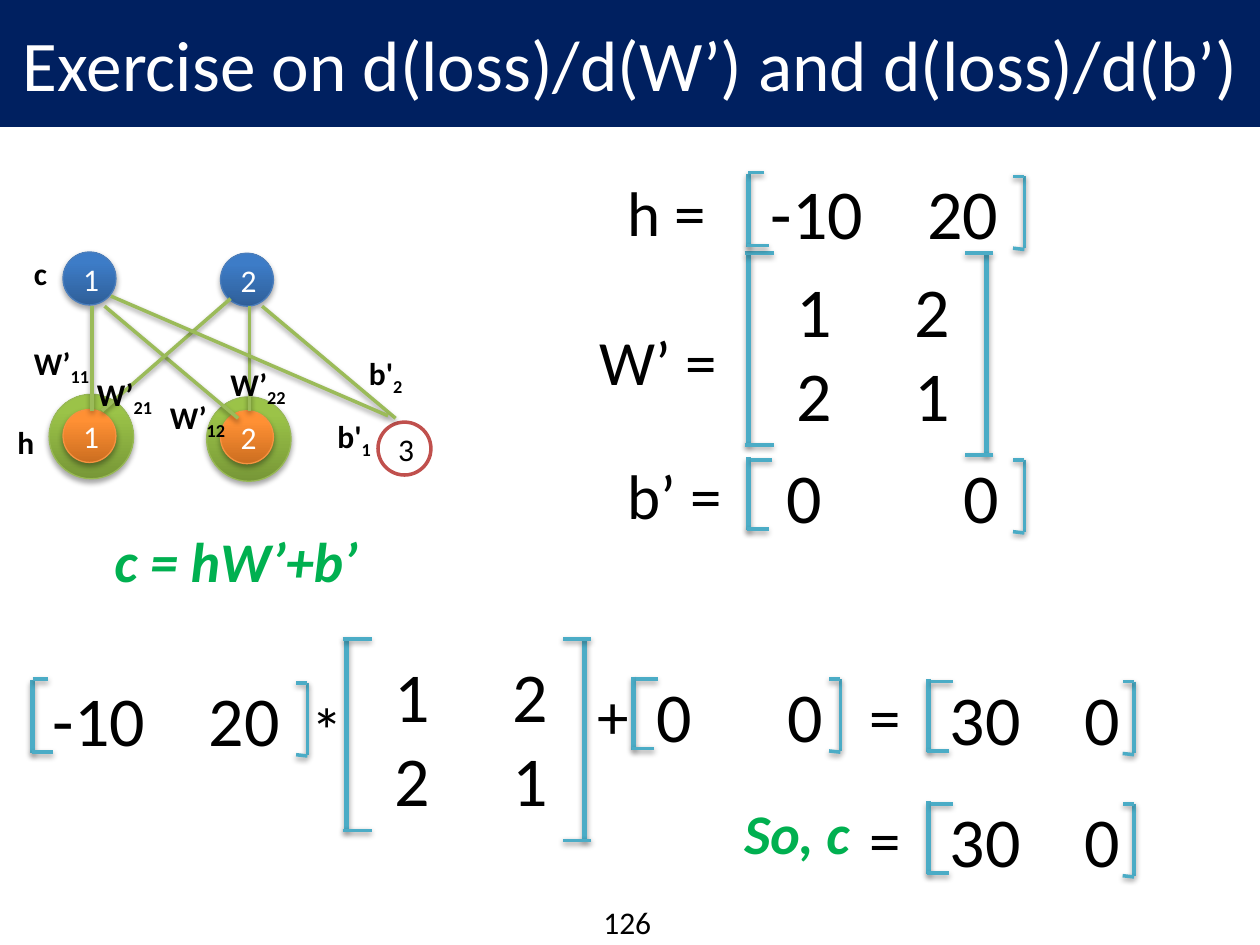
import pptx
import pptx.util
import pptx.dml.color
import pptx.enum.shapes
import pptx.enum.text
import pptx.oxml.ns
from lxml import etree

Inches = pptx.util.Inches
Pt = pptx.util.Pt
qn = pptx.oxml.ns.qn
SHAPE = pptx.enum.shapes.MSO_SHAPE
GREEN, BLUE, ORANGE = ("779737", "9BC348", "98B955"), ("2F5F99", "3D7CC7", "4B7EBC"), ("CC6E20", "FF9034", "F69240")
EDGE, BRACKET, FORMULA = "9BBB59", "4BACC6", "00B050"


def rgb(value):
    return pptx.dml.color.RGBColor.from_string(value)


def set_font(font, color="000000", **fmt):
    font.color.rgb = rgb(color)
    for name, value in {"name": "Calibri", **fmt}.items():
        setattr(font, name, value)


def add_shadow(sp, alpha, dist):
    spPr = sp._element.spPr
    effects = spPr.find(qn("a:effectLst"))
    if effects is None:
        effects = etree.SubElement(spPr, qn("a:effectLst"))
    outer = etree.SubElement(effects, qn("a:outerShdw"), blurRad="40000", dist=str(dist),
                             dir="5400000", rotWithShape="0")
    color = etree.SubElement(outer, qn("a:srgbClr"), val="000000")
    etree.SubElement(color, qn("a:alpha"), val=str(alpha * 1000))


def add_line(s, x1, y1, x2, y2, color, width=2):
    sp = s.shapes.add_connector(pptx.enum.shapes.MSO_CONNECTOR.STRAIGHT,
                                Inches(x1), Inches(y1), Inches(x2), Inches(y2))
    sp.line.color.rgb = rgb(color)
    sp.line.width = Pt(width)
    if width == 3:
        add_shadow(sp, 35, 23000)
    else:
        add_shadow(sp, 38, 20000)


def add_shape(s, kind, x, y, w, h, line, width, text="", size=18, color="FFFFFF"):
    sp = s.shapes.add_shape(kind, Inches(x), Inches(y), Inches(w), Inches(h))
    sp.shadow.inherit = False
    sp.line.color.rgb = rgb(line)
    sp.line.width = Pt(width)
    if text:
        tf = sp.text_frame
        tf.vertical_anchor = pptx.enum.text.MSO_ANCHOR.MIDDLE
        p = tf.paragraphs[0]
        p.alignment = pptx.enum.text.PP_ALIGN.CENTER
        r = p.add_run()
        r.text = text
        set_font(r.font, color, size=Pt(size))
    return sp


def add_node(s, x, y, d, colors, text=""):
    dark, light, line = colors
    sp = add_shape(s, SHAPE.OVAL, x, y, d, d, line, 0.75, text)
    sp.fill.gradient()
    sp.fill.gradient_angle = 90
    for stop, color, position in zip(sp.fill.gradient_stops, (dark, light), (0, 0.8)):
        stop.color.rgb = rgb(color)
        stop.position = position
    add_shadow(sp, 35, 23000)


def add_text(s, x, y, w, h, text, size, sub="", wrap=False, **fmt):
    tf = s.shapes.add_textbox(Inches(x), Inches(y), Inches(w), Inches(h)).text_frame
    tf.word_wrap = wrap
    if not wrap:
        tf.auto_size = pptx.enum.text.MSO_AUTO_SIZE.SHAPE_TO_FIT_TEXT
    p = tf.paragraphs[0]
    for part in filter(None, (text, sub)):
        r = p.add_run()
        r.text = part
        set_font(r.font, size=Pt(size), **fmt)
    if sub:
        r.font._element.set("baseline", "-25000")
    return tf


def add_vector(s, x, top, right, text_x, first, second, gap, tick=(0.02, 0.19, 0.02)):
    tick_start, tick_end, tick_drop = tick
    add_line(s, x, top, x, top + 0.58, BRACKET, 3)
    add_line(s, x + tick_start, top + tick_drop, x + tick_end, top + tick_drop, BRACKET)
    add_line(s, x - 0.01, top + 0.57, x + 0.16, top + 0.57, BRACKET)
    add_line(s, right, top + 0.02, right, top + 0.59, BRACKET)
    add_line(s, right, top + 0.6, right - 0.09, top + 0.59, BRACKET)
    add_line(s, right, top + 0.02, right - 0.09, top + 0.02, BRACKET)
    tf = add_text(s, text_x, top - 0.08, 2.03, 0.77, f"{first}\t{second}", 40, wrap=True)
    tabs = etree.SubElement(tf.paragraphs[0]._p.get_or_add_pPr(), qn("a:tabLst"))
    etree.SubElement(tabs, qn("a:tab"), pos=str(Inches(gap)), algn="l")


def add_matrix(s, x, y):
    for stem, start, end, height in ((0.03, 0, 0.23, 1.52), (1.92, 1.75, 1.97, 1.6)):
        add_line(s, x + stem, y, x + stem, y + height, BRACKET, 3)
        for tick_y in (y, y + height):
            add_line(s, x + start, tick_y, x + end, tick_y, BRACKET)
    tf = s.shapes.add_textbox(Inches(x + 0.31), Inches(y + 0.06), Inches(1.43), Inches(1.45)).text_frame
    tf.word_wrap = True
    for i, value in enumerate("21"):
        p = tf.add_paragraph() if i else tf.paragraphs[0]
        pPr = p._p.get_or_add_pPr()
        pPr.set("marL", str(Inches(0.94)))
        pPr.set("indent", str(-Inches(0.94)))
        etree.SubElement(pPr, qn("a:buFont"), typeface="+mj-lt")
        etree.SubElement(pPr, qn("a:buAutoNum"), type="arabicPlain")
        r = p.add_run()
        r.text = value
        set_font(r.font, size=Pt(40))


def add_network(s):
    for x, y in ((1.64, 3.15), (0.39, 3.13)):
        add_node(s, x, y, 0.67, GREEN)
    for x, y, text in ((0.5, 2, "1"), (1.75, 2.01, "2")):
        add_node(s, x, y, 0.42, BLUE, text)
        add_node(s, x, y + 1.25, 0.42, ORANGE, text)
    bias = add_shape(s, SHAPE.OVAL, 3, 3.35, 0.42, 0.42, "C0504D", 2, "3", color="000000")
    bias.fill.solid()
    bias.fill.fore_color.rgb = rgb("FFFFFF")
    for ends in ((0.73, 2.43, 0.73, 3.26), (1.98, 2.43, 1.98, 3.26), (2.08, 2.43, 3.14, 3.32),
                 (0.83, 2.43, 1.89, 3.32), (1.83, 2.37, 0.81, 3.26), (0.88, 2.35, 3.08, 3.3)):
        add_line(s, *ends, EDGE)
    for x, y, w, text, sub in (
            (0.17, 2.68, 0.67, "W’", "11"), (0.67, 2.93, 0.67, "W’", "21"),
            (1.25, 3.11, 0.67, "W’", "12"), (1.73, 2.85, 0.67, "W’", "22"),
            (2.58, 3.26, 0.48, "b'", "1"), (2.83, 2.76, 0.48, "b'", "2"),
            (0.04, 3.31, 0.34, "h", ""), (0.17, 1.97, 0.31, "c", "")):
        add_text(s, x, y, w, 0.4, text, 18, sub, bold=True)


def main():
    prs = pptx.Presentation()
    prs.slide_width, prs.slide_height = Inches(10), Inches(7.5)
    s = prs.slides.add_slide(prs.slide_layouts[6])
    title = add_shape(s, SHAPE.RECTANGLE, 0, 0, 10, 1, "002060", 0.75,
                      "Exercise on d(loss)/d(W’) and d(loss)/d(b’)", 40.7)
    title.fill.solid()
    title.fill.fore_color.rgb = rgb("002060")
    add_network(s)

    for x, y in ((5.91, 2.01), (2.72, 5.07)):
        add_matrix(s, x, y)
    add_vector(s, 5.94, 1.38, 8.13, 6.02, "-10", "20", 1.24, (0, 0.12, -0.01))
    add_vector(s, 5.94, 3.63, 8.13, 6.14, "0", "0", 1.41)
    add_vector(s, 0.26, 5.4, 2.44, 0.32, "-10", "20", 1.24, (0, 0.12, -0.01))
    add_vector(s, 5.03, 5.37, 6.67, 5.11, "0", "0", 1.04)
    for top in (5.39, 6.36):
        add_vector(s, 7.37, top, 9, 7.44, "30", "0", 1.07)

    for x, y, w, text in (
            (4.88, 1.33, 0.83, "h ="), (4.66, 2.51, 1.15, "W’ ="), (4.88, 3.57, 0.96, "b’ ="),
            (2.37, 5.43, 0.45, "*"), (4.64, 5.32, 0.45, "+"),
            (6.8, 5.33, 0.45, "="), (6.8, 6.3, 0.45, "=")):
        add_text(s, x, y, w, 0.71, text, 36)
    for x, y, text in ((0.81, 4.13, "c = hW’+b’"), (5.81, 6.29, "So, c")):
        add_text(s, x, y, 2.36, 0.68, text, 32, wrap=True, color=FORMULA, bold=True, italic=True)
    add_text(s, 4.69, 7.12, 0.72, 0.4, "126", 18, wrap=True)
    prs.save("out.pptx")


if __name__ == "__main__":
    main()
